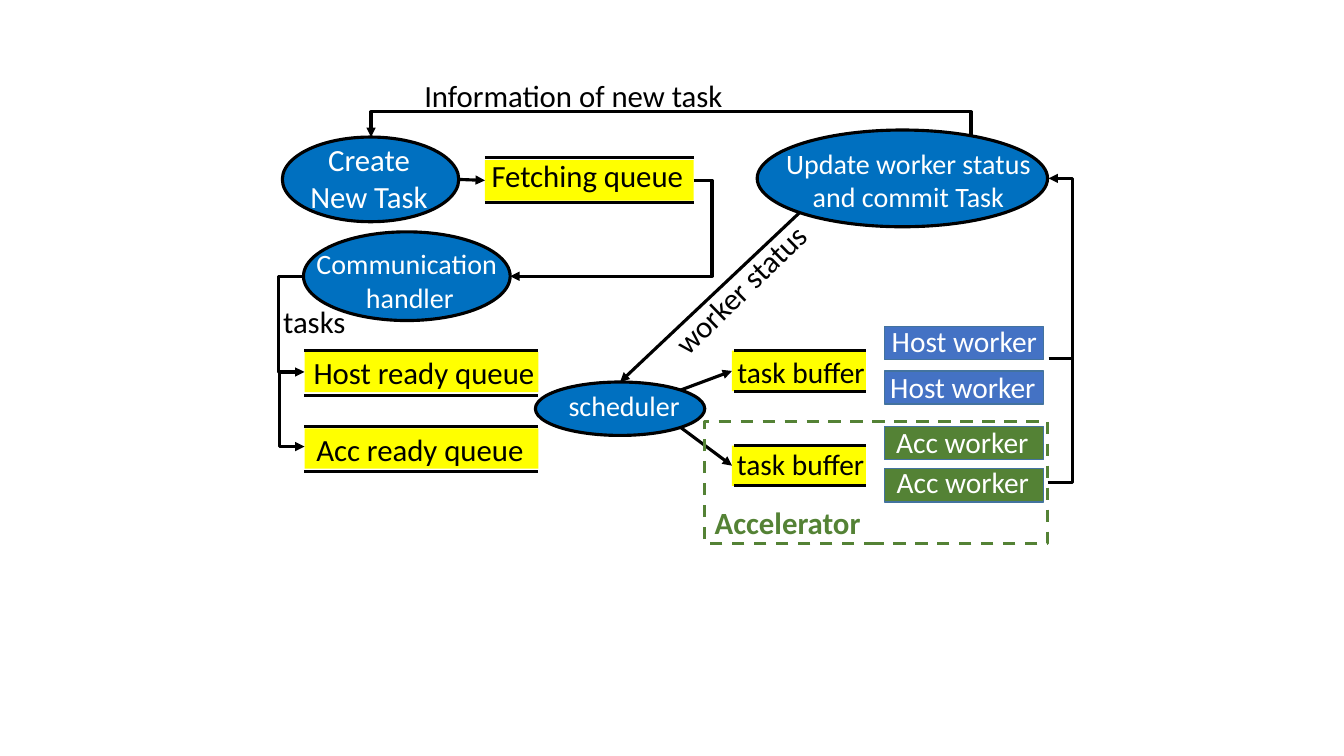
from dataclasses import dataclass

from lxml.etree import SubElement
from pptx import Presentation
from pptx.dml.color import RGBColor
from pptx.enum.dml import MSO_LINE
from pptx.enum.shapes import MSO_CONNECTOR, MSO_SHAPE
from pptx.enum.text import MSO_AUTO_SIZE, PP_ALIGN
from pptx.oxml.ns import qn
from pptx.util import Inches, Pt


@dataclass(frozen=True)
class Theme:
    font: str = "Calibri"
    black: str = "000000"
    white: str = "FFFFFF"
    queue: str = "FFFF00"
    process: str = "0070C0"
    host: str = "4472C4"
    accelerator: str = "548235"
    worker_edge: str = "43739E"
    large: int = 22
    medium: int = 21
    small: int = 20
    stroke: float = 2.25
    thin: float = 1


theme = Theme()
presentation = Presentation()
presentation.slide_width = Inches(13.33)
presentation.slide_height = Inches(7.5)
slide = presentation.slides.add_slide(presentation.slide_layouts[6])
column = presentation.slide_width / 133.3
row = presentation.slide_height / 75


def add_block(kind, left, top, width, height, fill, edge, weight):
    shape = slide.shapes.add_shape(
        kind, round(left * column), round(top * row), round(width * column), round(height * row)
    )
    shape.shadow.inherit = False
    if fill:
        shape.fill.solid()
        shape.fill.fore_color.rgb = RGBColor.from_string(fill)
    else:
        shape.fill.background()
    if edge:
        shape.line.color.rgb = RGBColor.from_string(edge)
        shape.line.width = Pt(weight)
    else:
        shape.line.fill.background()
    return shape


def add_link(kind, start_x, start_y, end_x, end_y, arrow):
    connector = slide.shapes.add_connector(
        kind, round(start_x * column), round(start_y * row), round(end_x * column), round(end_y * row)
    )
    connector.line.color.rgb = RGBColor.from_string(theme.black)
    connector.line.width = Pt(theme.stroke)
    if arrow:
        SubElement(connector.line._get_or_add_ln(), qn("a:tailEnd"), type="triangle")
    SubElement(connector._element.spPr, qn("a:effectLst"))
    return connector


queues = [
    (48.1, 15.9, 20.7, 0, 15.6, 20.1),
    (30.2, 34.9, 23.2, 0, 34.8, 39.2),
    (30.2, 42.5, 23.2, 0, 42.3, 46.8),
    (72.6, 34.8, 13.3, 0.2, 34.8, 38.8),
    (72.6, 44.2, 13.3, 0.2, 44.2, 48.2),
]
for left, top, width, inset, upper_rail, lower_rail in queues:
    add_block(MSO_SHAPE.RECTANGLE, left, top, width, 4, theme.queue, None, 0)
    for rail in (upper_rail, lower_rail):
        add_link(MSO_CONNECTOR.STRAIGHT, left + inset, rail, left + width, rail, False)

workers = [(32.4, theme.host), (36.8, theme.host), (42.3, theme.accelerator), (46.5, theme.accelerator)]
for top, fill in workers:
    add_block(MSO_SHAPE.RECTANGLE, 87.7, top, 15.8, 3.3, fill, theme.worker_edge, theme.thin)

straight_links = [
    (45.5, 17.8, 48.1, 17.9, True),
    (67.5, 38.7, 72.6, 36.8, True),
    (67.5, 42.4, 72.6, 46.2, True),
    (79.3, 21.1, 61.5, 37.9, True),
    (104, 35.6, 106.5, 35.6, False),
]
for link in straight_links:
    add_link(MSO_CONNECTOR.STRAIGHT, *link)

elbow_links = [
    (30.1, 27.4, 30.2, 36.9, -25, 0),
    (27.7, 36.8, 30.2, 44.3, 0, 0),
    (66.2, 43.7, 66.9, -15.8, 4.57, 270),
    (103.9, 47.9, 104, 17.7, 25, 0),
    (68.8, 17.9, 50.6, 27.4, -0.1, 0),
]
for start_x, start_y, end_x, end_y, bend, turn in elbow_links:
    connector = add_link(MSO_CONNECTOR.ELBOW, start_x, start_y, end_x, end_y, True)
    properties = connector._element.spPr
    guides = properties.find(qn("a:prstGeom")).find(qn("a:avLst"))
    SubElement(guides, qn("a:gd"), name="adj1", fmla=f"val {round(bend * 100000)}")
    if turn:
        properties.find(qn("a:xfrm")).set("rot", str(turn * 60000))

processes = [
    (28, 13.6, 17.5, 8.4),
    (30.1, 23, 20.5, 8.8),
    (53.1, 37.9, 16.8, 5.3),
    (75.1, 12.9, 28.8, 9.6),
]
for bounds in processes:
    add_block(MSO_SHAPE.OVAL, *bounds, theme.process, theme.black, theme.stroke)

accelerator = add_block(
    MSO_SHAPE.RECTANGLE, 69.9, 41.8, 34, 12.1, None, theme.accelerator, theme.stroke
)
accelerator.line.dash_style = MSO_LINE.DASH

left_aligned, centered = PP_ALIGN.LEFT, PP_ALIGN.CENTER
labels = [
    (["Accelerator"], 69.9, 49.5, 26.4, 4.7, theme.large, theme.accelerator, left_aligned, 0),
    (["Information of new task"], 41.1, 7.1, 43.3, 4.7, theme.large, theme.black, left_aligned, 0),
    (["worker status"], 63.9, 26, 19.7, 4.7, theme.large, theme.black, left_aligned, 315.7),
    (["tasks"], 27.1, 29.5, 13.7, 4.7, theme.large, theme.black, left_aligned, 0),
    (["scheduler"], 54.3, 38.1, 15.2, 4.4, theme.small, theme.white, centered, 0),
    (["Update worker status", "and commit Task"], 74.1, 14, 32, 7.7, theme.small, theme.white, centered, 0),
    (["Communication ", "handler"], 29.3, 24, 22.7, 7.7, theme.small, theme.white, centered, 0),
    (["Create New Task"], 29.1, 13.5, 15, 8.4, theme.large, theme.white, centered, 0),
    (["Fetching queue"], 44.7, 15.1, 27.1, 4.7, theme.large, theme.black, centered, 0),
    (["Host ready queue"], 29.5, 34.6, 25.1, 4.7, theme.large, theme.black, centered, 0),
    (["Acc ready queue"], 29.8, 42.2, 23.7, 4.7, theme.large, theme.black, centered, 0),
    (["task buffer"], 71.7, 34.6, 15.5, 4.5, theme.medium, theme.black, centered, 0),
    (["task buffer"], 71.4, 43.8, 16, 4.5, theme.medium, theme.black, centered, 0),
    (["Host worker"], 86, 31.6, 19.3, 4.5, theme.medium, theme.white, centered, 0),
    (["Host worker"], 86.4, 36.1, 18.2, 4.5, theme.medium, theme.white, centered, 0),
    (["Acc worker"], 86.9, 41.6, 17.1, 4.5, theme.medium, theme.white, centered, 0),
    (["Acc worker"], 87.2, 45.6, 16.6, 4.5, theme.medium, theme.white, centered, 0),
]
for lines, left, top, width, height, size, color, alignment, rotation in labels:
    label = slide.shapes.add_textbox(
        round(left * column), round(top * row), round(width * column), round(height * row)
    )
    label.rotation = rotation
    frame = label.text_frame
    frame.word_wrap = True
    frame.auto_size = MSO_AUTO_SIZE.SHAPE_TO_FIT_TEXT
    for index, line in enumerate(lines):
        paragraph = frame.add_paragraph() if index else frame.paragraphs[0]
        paragraph.alignment = alignment
        run = paragraph.add_run()
        run.text = line
        run.font.name = theme.font
        run.font.size = Pt(size)
        run.font.bold = color == theme.accelerator
        run.font.color.rgb = RGBColor.from_string(color)

presentation.save("out.pptx")
